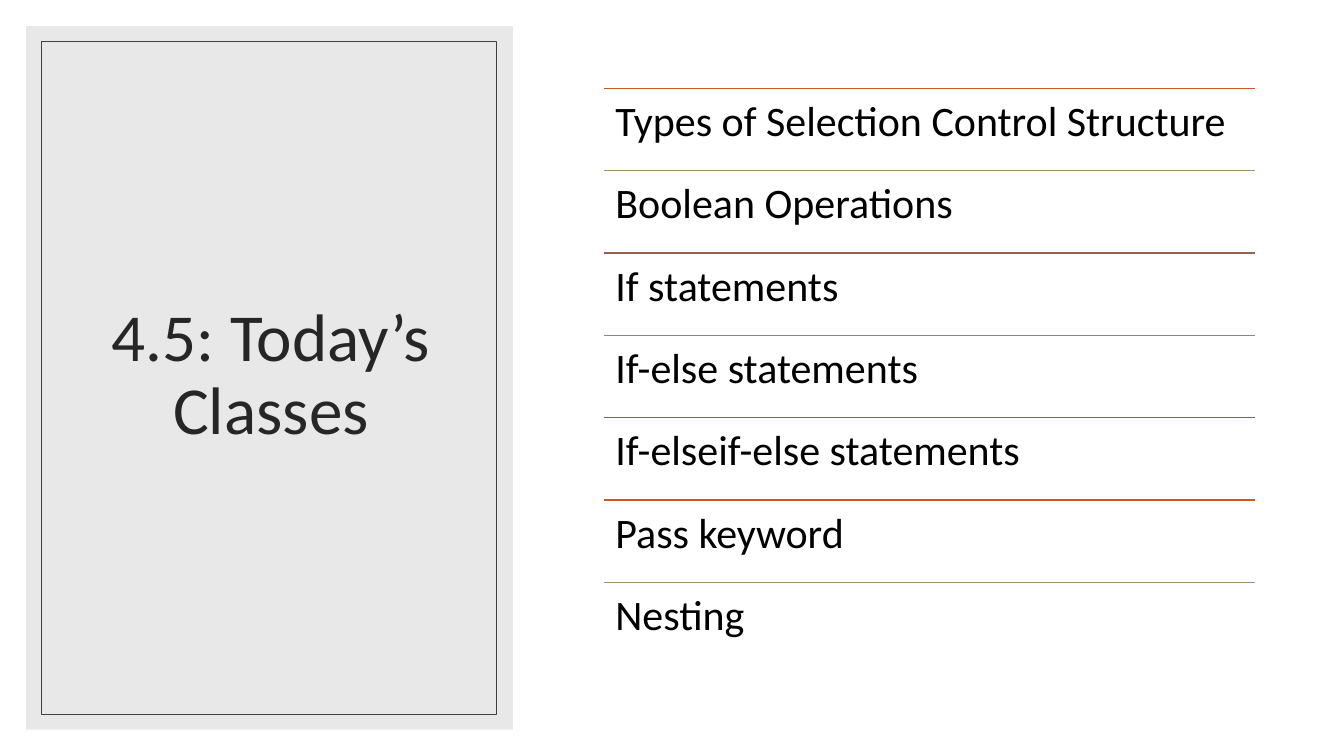
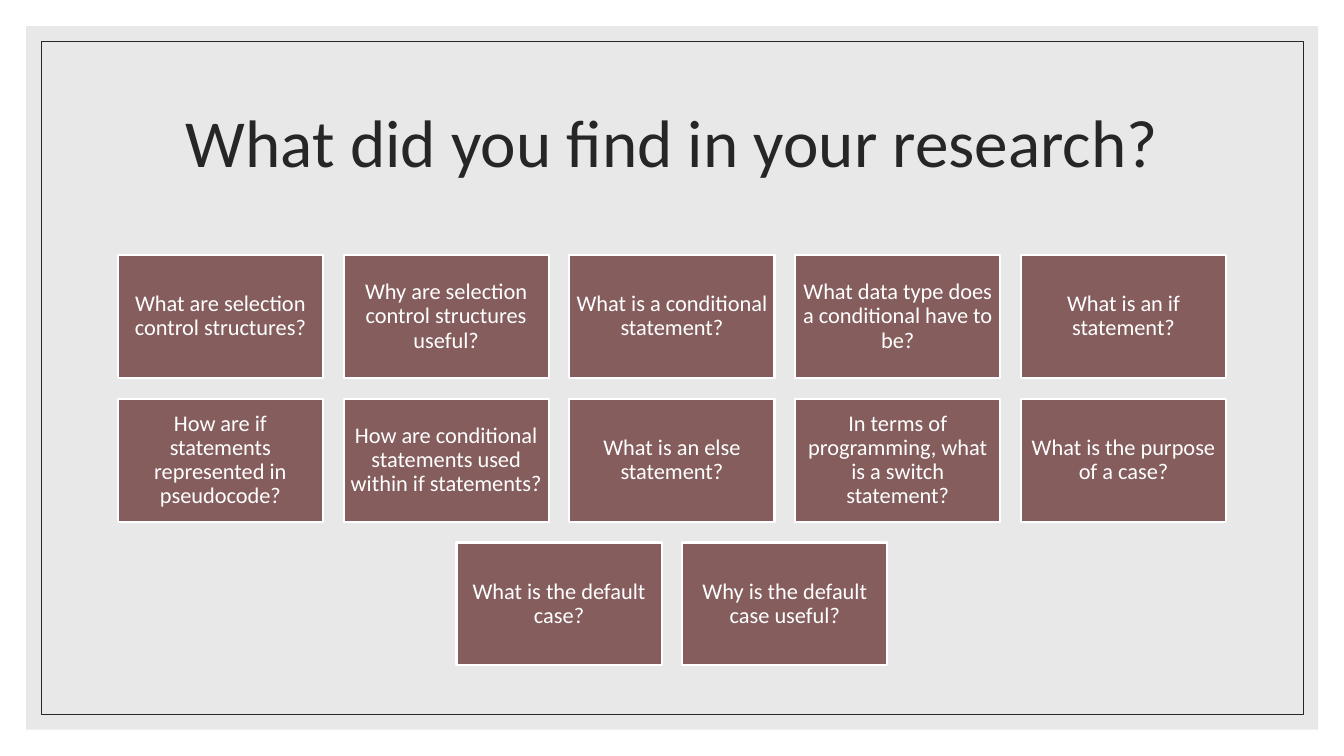
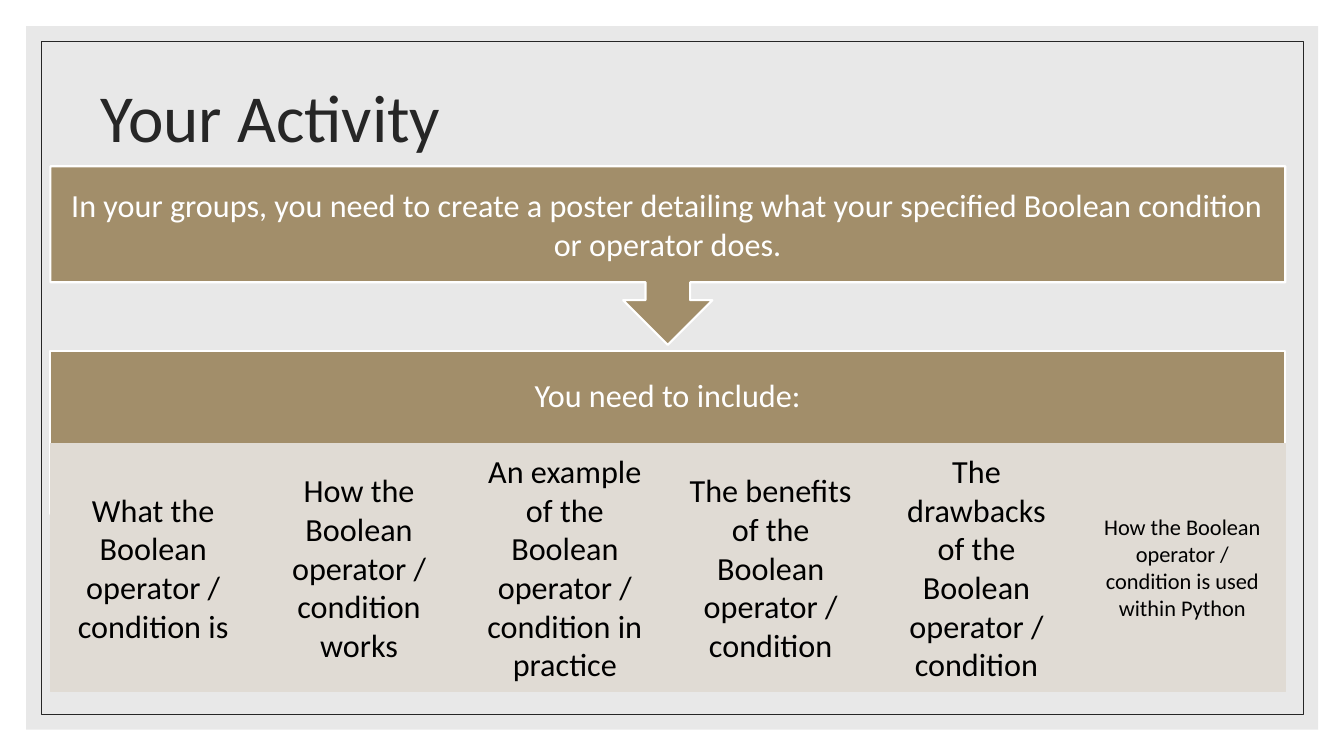
from dataclasses import dataclass
from typing import Optional

from lxml.etree import SubElement
from pptx import Presentation
from pptx.dml.color import RGBColor
from pptx.enum.shapes import MSO_CONNECTOR, MSO_SHAPE
from pptx.enum.text import MSO_ANCHOR, MSO_AUTO_SIZE, PP_ALIGN
from pptx.oxml.ns import qn
from pptx.util import Cm, Pt

RECT = MSO_SHAPE.RECTANGLE
CALLOUT = MSO_SHAPE.DOWN_ARROW_CALLOUT
STRAIGHT = MSO_CONNECTOR.STRAIGHT
TOP, MIDDLE = MSO_ANCHOR.TOP, MSO_ANCHOR.MIDDLE
LEFT, CENTER = PP_ALIGN.LEFT, PP_ALIGN.CENTER
NO_AUTOFIT = MSO_AUTO_SIZE.NONE

FONT = "Calibri"
SLIDE_W, SLIDE_H = 33.87, 19.05
TITLE_ONLY = 5
COLORS = {
    "white": "FFFFFF",
    "black": "000000",
    "panel": "D9D9D9",
    "ink": "262626",
    "gray": "404040",
    "orange": "CB581F",
    "tan": "A28E6A",
    "brown": "956251",
    "taupe": "918485",
    "plum": "855D5D",
    "sand": "E0DBD4",
}
RULE_COLORS = ["orange", "tan", "brown", "taupe", "plum"]

TOPICS = [
    "Types of Selection Control Structure",
    "Boolean Operations",
    "If statements",
    "If-else statements",
    "If-elseif-else statements",
    "Pass keyword",
    "Nesting",
]
QUESTIONS = [
    "What are selection control structures?",
    "Why are selection control structures useful?",
    "What is a conditional statement?",
    "What data type does a conditional have to be?",
    "What is an if statement?",
    "How are if statements represented in pseudocode?",
    "How are conditional statements used within if statements?",
    "What is an else statement?",
    "In terms of programming, what is a switch statement?",
    "What is the purpose of a case?",
    "What is the default case?",
    "Why is the default case useful?",
]
POSTER_PARTS = [
    "What the Boolean operator / condition is",
    "How the Boolean operator / condition works",
    "An example of the Boolean operator / condition in practice",
    "The benefits of the Boolean operator / condition",
    "The drawbacks of the Boolean operator / condition",
    "How the Boolean operator / condition is used within Python",
]


@dataclass(frozen=True)
class Box:
    x: float
    y: float
    w: float
    h: float

    def lengths(self) -> tuple:
        return Cm(self.x), Cm(self.y), Cm(self.w), Cm(self.h)


@dataclass(frozen=True)
class TextStyle:
    size: float
    color: str
    insets: tuple = (0.25, 0.13, 0.25, 0.13)
    align: int = CENTER
    anchor: int = MIDDLE
    spacing: float = 1.0


@dataclass(frozen=True)
class Backdrop:
    panel: Box
    frame: Box
    line: str


TITLE = TextStyle(48, "ink", spacing=0.9)
TOPIC = TextStyle(30, "black", (0.3,) * 4, LEFT, TOP, 0.9)
CARD = TextStyle(16, "white", (0.17,) * 4, spacing=0.9)
STEP = TextStyle(23, "white", (0.46,) * 4)
HEADING = TextStyle(23, "white", (0.46, 0.46, 0.46, 2.36))
PART = TextStyle(23, "black", (0.46, 0.08, 0.46, 0.08))
SMALL_PART = TextStyle(16, "black", (0.3, 0.05, 0.3, 0.05))

SIDE = Backdrop(Box(0.66, 0.66, 12.27, 17.73), Box(1.04, 1.04, 11.46, 16.97), "gray")
FULL = Backdrop(Box(0.66, 0.66, 32.56, 17.73), Box(1.04, 1.04, 31.8, 16.97), "ink")


def rgb(name: str) -> RGBColor:
    return RGBColor.from_string(COLORS[name])


def write(sp, text: str, style: TextStyle) -> None:
    tf = sp.text_frame
    tf.word_wrap = True
    tf.auto_size = NO_AUTOFIT
    tf.vertical_anchor = style.anchor
    tf.margin_left, tf.margin_top, tf.margin_right, tf.margin_bottom = map(Cm, style.insets)
    p = tf.paragraphs[0]
    p.alignment = style.align
    p.line_spacing = style.spacing
    r = p.add_run()
    r.text = text
    r.font.name = FONT
    r.font.size = Pt(style.size)
    r.font.color.rgb = rgb(style.color)


def add_block(slide, box: Box, fill: Optional[str] = None, line: Optional[str] = None,
              width: float = 1.5, kind: int = RECT):
    sp = slide.shapes.add_shape(kind, *box.lengths())
    sp.shadow.inherit = False
    if fill:
        sp.fill.solid()
        sp.fill.fore_color.rgb = rgb(fill)
    else:
        sp.fill.background()
    if line:
        sp.line.color.rgb = rgb(line)
        sp.line.width = Pt(width)
    else:
        sp.line.fill.background()
    return sp


def add_rule(slide, x: float, y: float, w: float, color: str) -> None:
    cn = slide.shapes.add_connector(STRAIGHT, Cm(x), Cm(y), Cm(x + w), Cm(y))
    cn.line.color.rgb = rgb(color)
    cn.line.width = Pt(1)
    SubElement(cn._element.spPr, qn("a:effectLst"))


def add_slide(prs, title: str, title_box: Box, backdrop: Backdrop):
    slide = prs.slides.add_slide(prs.slide_layouts[TITLE_ONLY])
    panel = add_block(slide, backdrop.panel, "panel")
    color = panel._element.spPr.find(qn("a:solidFill"))[0]
    SubElement(color, qn("a:alpha")).set("val", "60000")
    add_block(slide, backdrop.frame, line=backdrop.line, width=0.5)
    sp = slide.shapes.title
    sp.left, sp.top, sp.width, sp.height = title_box.lengths()
    write(sp, title, TITLE)
    slide.shapes._spTree.append(sp._element)
    return slide


def add_topics_slide(prs) -> None:
    slide = add_slide(prs, "4.5: Today’s Classes", Box(1.6, 1.55, 10.46, 15.85), SIDE)
    x, top, w, total_h = 15.21, 2.23, 16.41, 14.52
    row_h = total_h / len(TOPICS)
    for i, topic in enumerate(TOPICS):
        y = top + i * row_h
        add_rule(slide, x, y, w, RULE_COLORS[i % len(RULE_COLORS)])
        write(slide.shapes.add_textbox(*Box(x, y, w, row_h).lengths()), topic, TOPIC)


def add_questions_slide(prs) -> None:
    slide = add_slide(prs, "What did you find in your research?",
                      Box(2.97, 1.78, 27.94, 3.81), FULL)
    cols, top, w, h, gap = 5, 6.43, 5.17, 3.1, 0.52
    for start in range(0, len(QUESTIONS), cols):
        row = QUESTIONS[start:start + cols]
        x = (SLIDE_W - len(row) * (w + gap) + gap) / 2
        y = top + start // cols * (h + gap)
        for i, question in enumerate(row):
            card = add_block(slide, Box(x + i * (w + gap), y, w, h), "plum", "white")
            write(card, question, CARD)


def add_activity_slide(prs) -> None:
    slide = add_slide(prs, "Your Activity", Box(1.04, 1.14, 11.56, 3.81), FULL)
    x, w = 1.27, 31.12
    heading = add_block(slide, Box(x, 8.84, w, 4.11), "tan", "white")
    write(heading, "You need to include:", HEADING)
    part_w = w / len(POSTER_PARTS)
    for i, text in enumerate(POSTER_PARTS):
        part = add_block(slide, Box(x + i * part_w, 11.17, part_w, 6.25), "sand", "sand", 1)
        write(part, text, SMALL_PART if i == len(POSTER_PARTS) - 1 else PART)
    step = add_block(slide, Box(x, 4.19, w, 4.5), "tan", "white", kind=CALLOUT)
    write(step, "In your groups, you need to create a poster detailing what your "
                "specified Boolean condition or operator does.", STEP)


def main() -> None:
    prs = Presentation()
    prs.slide_width, prs.slide_height = Cm(SLIDE_W), Cm(SLIDE_H)
    add_topics_slide(prs)
    add_questions_slide(prs)
    add_activity_slide(prs)
    prs.save("out.pptx")


if __name__ == "__main__":
    main()
